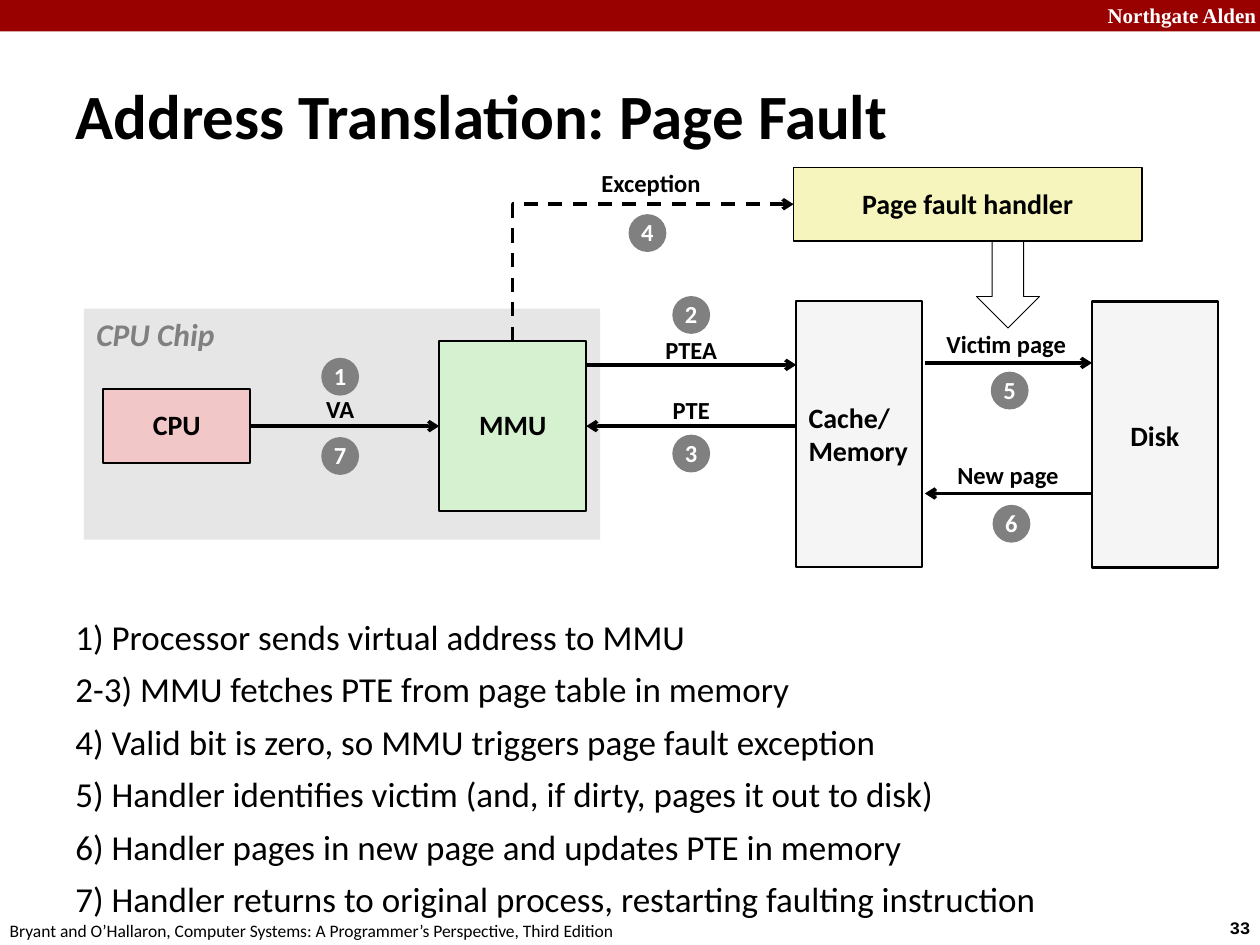
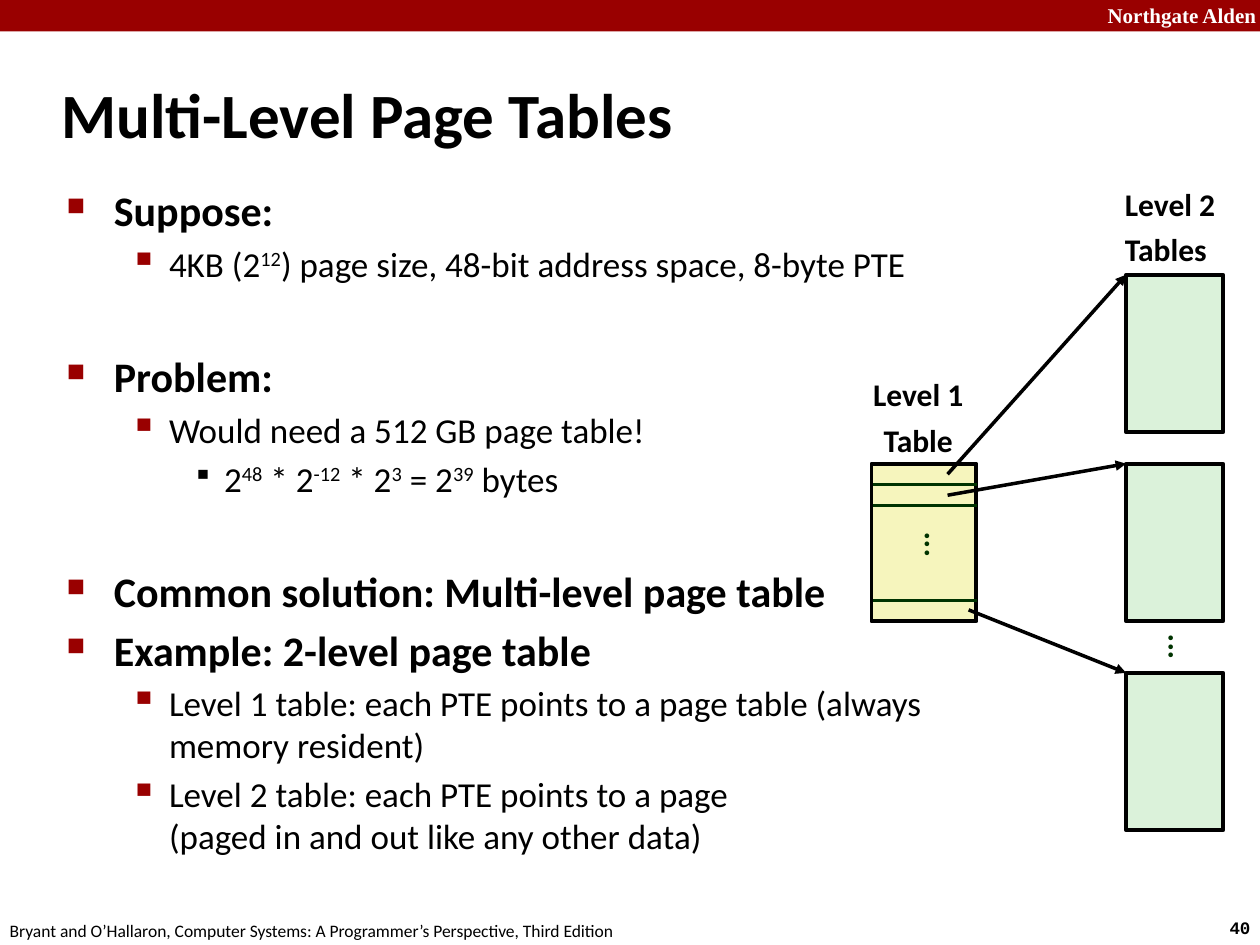
import lxml.etree
import pptx
import pptx.dml.color
import pptx.enum.dml
import pptx.enum.shapes
import pptx.enum.text
import pptx.oxml.ns
import pptx.util

Pt = pptx.util.Pt
SHAPES = pptx.enum.shapes.MSO_SHAPE
CONNECTORS = pptx.enum.shapes.MSO_CONNECTOR
ANCHORS = {"top": pptx.enum.text.MSO_ANCHOR.TOP, "middle": pptx.enum.text.MSO_ANCHOR.MIDDLE}
ALIGNS = {
    "left": pptx.enum.text.PP_ALIGN.LEFT,
    "center": pptx.enum.text.PP_ALIGN.CENTER,
    "right": pptx.enum.text.PP_ALIGN.RIGHT,
}
BLACK, WHITE, RED, GRAY = "000000", "FFFFFF", "990000", "808080"
YELLOW, GREEN, MINT, PINK = "F6F5BD", "D5F1CF", "DBF2DA", "F1C7C7"
PALE, CHIP_GRAY, DARK_GREEN = "F5F5F5", "E6E6E6", "003300"

SECTION = dict(size=24, bold=True, before=4.8, bullet=("■", 60, RED), margin=27, hang=27)
POINT = dict(size=20, before=4, bullet=("▪", 110, RED), margin=58.5, hang=22.5)
DETAIL = dict(size=20, before=4, bullet=("▪", 80, BLACK), margin=90, hang=18)
NEW_SECTION = {**SECTION, "before": 38}


def color(value):
    return pptx.dml.color.RGBColor.from_string(value)


def add_xml(parent, tag, **attributes):
    return lxml.etree.SubElement(parent, pptx.oxml.ns.qn(tag), attributes)


def set_bullet(paragraph, bullet, margin, hang):
    char, percent, tint = bullet
    props = paragraph._p.get_or_add_pPr()
    props.set("marL", str(Pt(margin)))
    props.set("indent", str(-Pt(hang)))
    add_xml(add_xml(props, "a:buClr"), "a:srgbClr", val=tint)
    add_xml(props, "a:buSzPct", val=str(percent * 1000))
    add_xml(props, "a:buChar", char=char)


def write_text(paragraph, text, size=16, font="Calibri", tint=BLACK, bold=False, italic=False,
               align="left", spacing=None, before=None, bullet=None, margin=0, hang=0):
    """Fill a paragraph; ^ marks enclose superscripts and a newline breaks the line."""
    paragraph.alignment = ALIGNS[align]
    if spacing:
        paragraph.line_spacing = spacing
    if before:
        paragraph.space_before = Pt(before)
    if bullet:
        set_bullet(paragraph, bullet, margin, hang)
    for row, line in enumerate(text.split("\n")):
        if row:
            paragraph.add_line_break()
        for index, part in enumerate(line.split("^")):
            if not part:
                continue
            run = paragraph.add_run()
            run.text = part
            run.font.size, run.font.name = Pt(size), font
            run.font.bold, run.font.italic = bold, italic
            run.font.color.rgb = color(tint)
            if index % 2:
                run._r.get_or_add_rPr().set("baseline", "30000")


class Deck:
    """Hold the shared slide style and draw on the current slide."""

    def __init__(self):
        self.deck = pptx.Presentation()
        self.deck.slide_width, self.deck.slide_height = Pt(720), Pt(540)
        self.slide = None

    def start(self, title, number, left, top):
        self.slide = self.deck.slides.add_slide(self.deck.slide_layouts[6])
        self.box(0, 0, 720, 18, fill=RED)
        self.text(622, -2, 103, 22, ["Northgate Alden"], size=12, font="Times New Roman",
                  tint=WHITE, bold=True, align="right")
        self.text(695.5, 520.5, 32, 19.5, [number], size=10, font="Courier New", bold=True)
        self.text(-1.5, 522, 366, 19.5, [
            "Bryant and O’Hallaron, Computer Systems: A Programmer’s Perspective, Third Edition",
        ], size=10)
        self.text(left, top, 640, 61, [title], size=36, bold=True, anchor="middle", wrap=True)

    def fill_frame(self, frame, paragraphs, anchor="top", wrap=False, **style):
        frame.word_wrap = wrap
        frame.vertical_anchor = ANCHORS[anchor]
        for index, entry in enumerate(paragraphs):
            text, own = entry if isinstance(entry, tuple) else (entry, {})
            paragraph = frame.add_paragraph() if index else frame.paragraphs[0]
            write_text(paragraph, text, **{**style, **own})

    def text(self, left, top, width, height, paragraphs, rotation=0, **style):
        shape = self.slide.shapes.add_textbox(Pt(left), Pt(top), Pt(width), Pt(height))
        shape.rotation = rotation
        self.fill_frame(shape.text_frame, paragraphs, **style)

    def box(self, left, top, width, height, paragraphs=(), kind=SHAPES.RECTANGLE,
            fill=None, weight=0, **style):
        shape = self.slide.shapes.add_shape(kind, Pt(left), Pt(top), Pt(width), Pt(height))
        shape.shadow.inherit = False
        if fill:
            shape.fill.solid()
            shape.fill.fore_color.rgb = color(fill)
        else:
            shape.fill.background()
        if weight:
            shape.line.color.rgb = color(BLACK)
            shape.line.width = Pt(weight)
        else:
            shape.line.fill.background()
        if paragraphs:
            self.fill_frame(shape.text_frame, paragraphs, anchor="middle",
                            **{"bold": True, "align": "center", **style})
        return shape

    def badge(self, number, x, y, size=21.6):
        self.box(x - size / 2, y - size / 2, size, size, [number], kind=SHAPES.OVAL,
                 fill=GRAY, size=14, tint=WHITE, spacing=0.98)

    def caption(self, text, x, y):
        self.text(x - 42, y - 12, 84, 24, [text], size=14, bold=True, align="center",
                  anchor="middle", spacing=0.98)

    def style_line(self, connector, tint, weight, head, dashed=False):
        connector.line.color.rgb = color(tint)
        connector.line.width = Pt(weight)
        if dashed:
            connector.line.dash_style = pptx.enum.dml.MSO_LINE.DASH
        if head:
            add_xml(connector.line._get_or_add_ln(), "a:tailEnd", type=head)
        add_xml(connector._element.spPr, "a:effectLst")

    def line(self, start, end, begin=None, finish=None, tint=BLACK, weight=2, head="arrow"):
        connector = self.slide.shapes.add_connector(
            CONNECTORS.STRAIGHT, *[Pt(value) for value in (*start, *end)])
        if begin:
            connector.begin_connect(*begin)
        if finish:
            connector.end_connect(*finish)
        self.style_line(connector, tint, weight, head)

    def elbow_up_right(self, start, end):
        run, rise = end[0] - start[0], start[1] - end[1]
        left = (start[0] + end[0] - rise) / 2
        top = (start[1] + end[1] - run) / 2
        connector = self.slide.shapes.add_connector(
            CONNECTORS.ELBOW, Pt(left), Pt(top), Pt(left + rise), Pt(top + run))
        properties = connector._element.spPr
        properties.find(pptx.oxml.ns.qn("a:prstGeom")).set("prst", "bentConnector2")
        for name, value in (("rot", "5400000"), ("flipH", "1"), ("flipV", "1")):
            properties.xfrm.set(name, value)
        self.style_line(connector, BLACK, 2, "arrow", dashed=True)


def build_page_fault(deck):
    deck.start("Address Translation: Page Fault", "33", 36, 35)
    deck.box(48, 176.4, 295, 132, fill=CHIP_GRAY)
    deck.text(48, 176.4, 84, 29, ["CPU Chip"], size=18, tint=GRAY, bold=True, italic=True)
    deck.text(36, 354, 630, 162, [
        "1) Processor sends virtual address to MMU",
        "2-3) MMU fetches PTE from page table in memory",
        "4) Valid bit is zero, so MMU triggers page fault exception",
        "5) Handler identifies victim (and, if dirty, pages it out to disk)",
        "6) Handler pages in new page and updates PTE in memory",
        "7) Handler returns to original process, restarting faulting instruction",
    ], size=20, spacing=0.73, before=12.5, wrap=True)

    mmu = deck.box(251, 195, 84, 97, ["MMU"], fill=GREEN, weight=1, spacing=0.98)
    cpu = deck.box(59, 222.5, 84, 42, ["CPU"], fill=PINK, weight=1, spacing=0.98)
    deck.box(455, 172, 72, 152, ["Cache/", "Memory"], fill=PALE, weight=1.5, align="left")
    deck.box(624, 172.5, 72, 152, ["Disk"], fill=PALE, weight=1.5)
    deck.box(453.5, 95.75, 199, 42, ["Page fault handler"], fill=YELLOW, weight=1, spacing=0.98)
    deck.box(558, 138, 36, 49.5, kind=SHAPES.DOWN_ARROW, weight=0.5)

    deck.line((143, 243.5), (251, 243.5), begin=(cpu, 3), finish=(mmu, 1))
    deck.line((335, 208.5), (455, 208.5))
    deck.line((455, 243.5), (335, 243.5), finish=(mmu, 3))
    deck.line((528.5, 207.4), (624, 207.4))
    deck.line((624, 282), (528.5, 282))
    deck.elbow_up_right((293, 195), (453.5, 116.75))

    for text, x, y in [
        ("VA", 194.4, 234.4), ("PTEA", 395, 200.5), ("PTE", 395, 235),
        ("Victim page", 575, 197), ("New page", 576, 272), ("Exception", 372, 105),
    ]:
        deck.caption(text, x, y)
    for number, (x, y) in enumerate([
        (194.4, 215.3), (395, 180), (395, 259.2), (370, 133.2),
        (577, 223.2), (578, 299.3), (194.4, 260.6),
    ], start=1):
        deck.badge(str(number), x, y)


def build_multi_level(deck):
    deck.start("Multi-Level Page Tables", "40", 28, 34)
    deck.text(31, 102, 545, 392, [
        ("Suppose:", SECTION),
        ("4KB (2^12^) page size, 48-bit address space, 8-byte PTE", POINT),
        ("Problem:", NEW_SECTION),
        ("Would need a 512 GB page table!", POINT),
        ("2^48^ * 2^-12^ * 2^3^ = 2^39^ bytes", DETAIL),
        ("Common solution: Multi-level page table", NEW_SECTION),
        ("Example: 2-level page table", SECTION),
        ("Level 1 table: each PTE points to a page table (always memory resident)", POINT),
        ("Level 2 table: each PTE points to a page\n(paged in and out like any other data)", POINT),
    ], wrap=True)

    label = dict(size=18, bold=True, spacing=0.88, before=6.8)
    deck.text(491.75, 213.75, 66, 52.5, ["Level 1", "Table"], align="center", **label)
    deck.text(635.75, 105, 66, 52.5, ["Level 2", "Tables"], **label)
    deck.box(498, 265, 60, 90, fill=YELLOW, weight=2.25)
    entries = [(541.5, 271), (541.5, 283), (553.5, 348.5)]
    table_tops = [157, 265, 384.5]
    for top in table_tops:
        deck.box(643.5, top, 55.5, 90, fill=MINT, weight=2.25)
    for entry, top in zip(entries, table_tops):
        deck.line(entry, (643.5, top), head="triangle")
    for y in (277, 289, 343):
        deck.line((499, y), (558.5, y), tint=DARK_GREEN, weight=1.5, head=None)
    for left, top in ((510.75, 298), (650, 356.5)):
        deck.text(left, top, 29, 26, ["..."], rotation=270, tint=DARK_GREEN, **label)


def main():
    deck = Deck()
    build_page_fault(deck)
    build_multi_level(deck)
    deck.deck.save("out.pptx")


if __name__ == "__main__":
    main()
